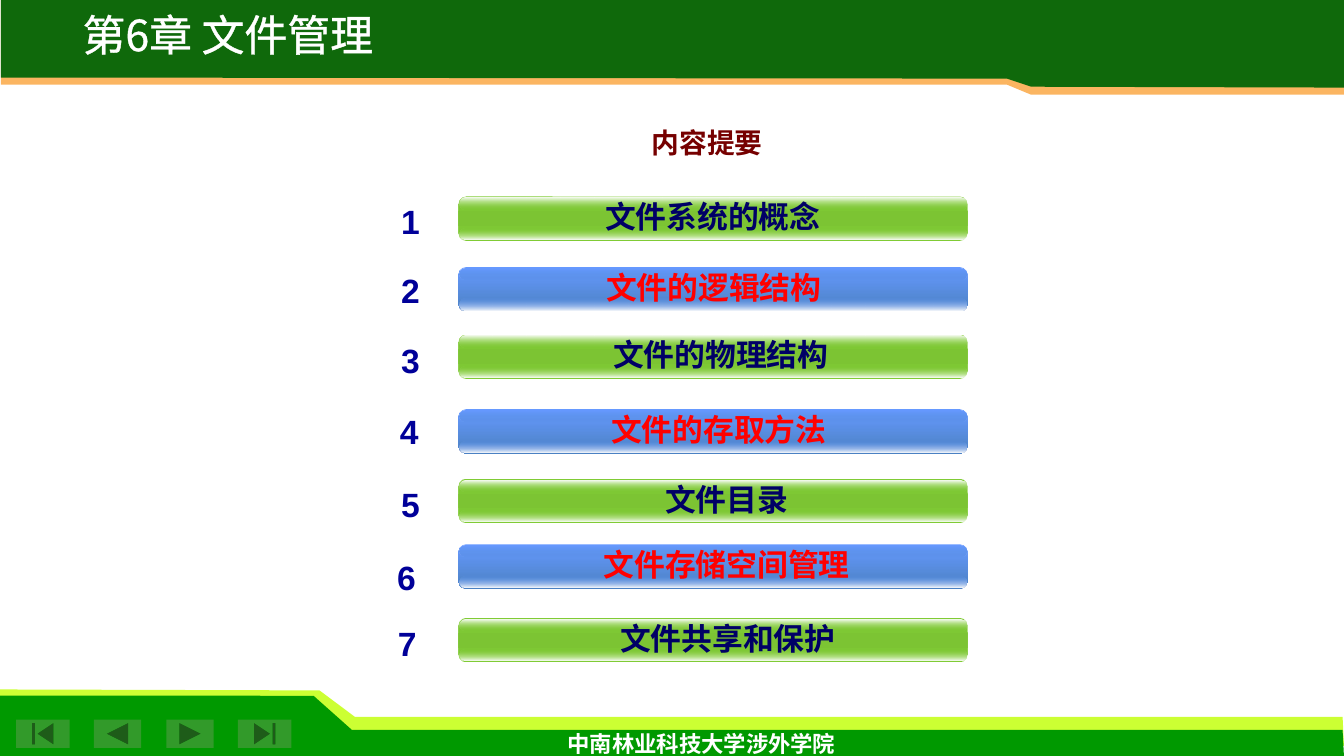
from dataclasses import dataclass

from pptx import Presentation
from pptx.dml.color import RGBColor
from pptx.enum.shapes import MSO_SHAPE
from pptx.enum.text import MSO_ANCHOR, MSO_AUTO_SIZE, PP_ALIGN
from pptx.oxml import parse_xml
from pptx.oxml.ns import nsdecls, qn
from pptx.util import Pt


@dataclass(frozen=True)
class Theme:
    white: str = "FFFFFF"
    header: str = "0F690B"
    header_edge: str = "FBB561"
    footer: str = "009900"
    footer_edge: str = "CCFF33"
    button: str = "329A2A"
    heading: str = "760000"
    number: str = "000099"
    navy: str = "000066"
    navy_edge: str = "002060"
    red: str = "FF0000"
    green: str = "80CB35"
    green_middle: str = "7CC433"
    blue: str = "6699FF"
    blue_deep: str = "4B81C2"
    blue_glow: str = "518CD3"
    cjk: str = "Noto Sans CJK SC"
    latin: str = "Arial"
    serif: str = "Times New Roman"
    title_size: float = 30.6
    heading_size: float = 19.8
    number_size: float = 24
    topic_size: float = 22
    footer_size: float = 16


THEME = Theme()
FOOTER_EDGE = [(0.7, 532.8), (960, 532.8), (959, 512), (253.4, 512), (228.2, 493.2), (0, 492.5)]
FOOTER = [(0, 542), (960, 541), (959, 521.3), (251.3, 521.3), (224, 497), (0, 496.8)]
HEADER_EDGE = [(960.5, 0), (0.7, 0), (0.7, 60.5), (719.3, 60.5), (736.6, 67.7), (960.5, 67.7)]
HEADER = [(960.5, 0), (0.7, 0), (0.7, 55.4), (719.3, 56.2), (736.6, 62), (960.5, 62.6)]
BUTTONS = [
    (MSO_SHAPE.ACTION_BUTTON_BACK_OR_PREVIOUS, 67, 33.8),
    (MSO_SHAPE.ACTION_BUTTON_FORWARD_OR_NEXT, 118.8, 33.8),
    (MSO_SHAPE.ACTION_BUTTON_BEGINNING, 11.5, 38.2),
    (MSO_SHAPE.ACTION_BUTTON_END, 170, 38.2),
]
BAR_LEFT, BAR_WIDTH, BAR_HEIGHT = 327.5, 363.6, 31.7
# (topic, bar top, topic left, number left, number top)
TOPICS = [
    ("文件系统的概念", 140.4, 355, 279.4, 139.7),
    ("文件的逻辑结构", 190.8, 355.7, 279.4, 189.4),
    ("文件的物理结构", 239, 360.7, 279.4, 239),
    ("文件的存取方法", 292.3, 359.3, 278.6, 290.2),
    ("文件目录", 342, 365, 279.4, 342),
    ("文件存储空间管理", 388.8, 365, 276.5, 394.6),
    ("文件共享和保护", 441.4, 365.8, 277.2, 441.4),
]


def write_text(frame, text, size, color, font, bold=False, spacing=None,
               hanging=None, outline=None, wrap=True, grow=False):
    frame.word_wrap = wrap
    frame.auto_size = MSO_AUTO_SIZE.SHAPE_TO_FIT_TEXT if grow else MSO_AUTO_SIZE.NONE
    frame.vertical_anchor = MSO_ANCHOR.TOP
    paragraph = frame.paragraphs[0]
    paragraph.alignment = PP_ALIGN.CENTER
    paragraph.line_spacing = spacing
    if hanging:
        properties = paragraph._p.get_or_add_pPr()
        properties.set("marL", str(Pt(hanging)))
        properties.set("indent", str(-Pt(hanging)))
    run = paragraph.add_run()
    run.text = text
    run.font.size = Pt(size)
    run.font.bold = bold
    run.font.name = font
    run.font.color.rgb = RGBColor.from_string(color)
    properties = run._r.get_or_add_rPr()
    properties.find(qn("a:latin")).addnext(
        parse_xml(f'<a:ea {nsdecls("a")} typeface="{THEME.cjk}"/>'))
    if outline:
        edge, width = outline
        properties.insert(0, parse_xml(
            f'<a:ln {nsdecls("a")} w="{Pt(width)}"><a:solidFill>'
            f'<a:srgbClr val="{edge}"/></a:solidFill></a:ln>'))


class SlideBuilder:
    def __init__(self, slide, theme):
        self.slide = slide
        self.theme = theme

    def finish(self, shape, color):
        shape.shadow.inherit = False
        shape.line.fill.background()
        shape.fill.solid()
        shape.fill.fore_color.rgb = RGBColor.from_string(color)

    def title(self, text, left, top, width, height, **style):
        title = self.slide.shapes.title
        title.left, title.top = Pt(left), Pt(top)
        title.width, title.height = Pt(width), Pt(height)
        self.slide.shapes.element.append(title.element)
        write_text(title.text_frame, text, **style)

    def label(self, text, left, top, width, height, **style):
        box = self.slide.shapes.add_textbox(Pt(left), Pt(top), Pt(width), Pt(height))
        write_text(box.text_frame, text, **style)

    def band(self, points, color):
        corners = [(Pt(x), Pt(y)) for x, y in points]
        outline = self.slide.shapes.build_freeform(*corners[0])
        outline.add_line_segments(corners[1:])
        self.finish(outline.convert_to_shape(), color)

    def button(self, kind, left, width):
        button = self.slide.shapes.add_shape(kind, Pt(left), Pt(514), Pt(width), Pt(20.2))
        self.finish(button, self.theme.button)

    def layer(self, group, left, top, width, height, rounding, stops):
        layer = group.shapes.add_shape(
            MSO_SHAPE.ROUNDED_RECTANGLE, Pt(left), Pt(top), Pt(width), Pt(height))
        layer.adjustments[0] = rounding
        layer.shadow.inherit = False
        layer.line.fill.background()
        layer.fill.background()
        colors = "".join(
            f'<a:gs pos="{position * 1000}"><a:srgbClr val="{color}">'
            f'<a:alpha val="{alpha * 1000}"/></a:srgbClr></a:gs>'
            for position, color, alpha in stops)
        properties = layer.element.spPr
        properties.replace(properties.find(qn("a:noFill")), parse_xml(
            f'<a:gradFill {nsdecls("a")} rotWithShape="1"><a:gsLst>{colors}</a:gsLst>'
            '<a:lin ang="5400000" scaled="1"/></a:gradFill>'))

    def bar(self, top, green):
        t = self.theme
        if green:
            base = [(0, t.green, 100), (50, t.green_middle, 100), (100, t.green, 100)]
            upper = [(0, t.white, 100), (100, t.green, 0)]
            lower = [(0, t.green, 0), (100, t.white, 100)]
        else:
            base = [(0, t.blue, 100), (100, t.blue_deep, 100)]
            upper = [(0, t.blue, 100), (100, t.blue_glow, 0)]
            lower = [(0, t.blue, 0), (100, t.white, 100)]
        group = self.slide.shapes.add_group_shape()
        self.layer(group, BAR_LEFT, top, BAR_WIDTH, BAR_HEIGHT, 0.175, base)
        for offset, stops in ((22.8, lower), (1, upper)):
            self.layer(group, BAR_LEFT + 0.7, top + offset, BAR_WIDTH - 1.4, 7.9, 0.5, stops)


def main():
    deck = Presentation()
    deck.slide_width, deck.slide_height = Pt(960), Pt(540)
    t = THEME
    page = SlideBuilder(deck.slides.add_slide(deck.slide_layouts[5]), t)

    page.band(FOOTER_EDGE, t.footer_edge)
    page.band(FOOTER, t.footer)
    for button in BUTTONS:
        page.button(*button)
    page.band(HEADER_EDGE, t.header_edge)
    page.band(HEADER, t.header)
    page.label("中南林业科技大学涉外学院", 298.8, 517.7, 404.6, 26.6, size=t.footer_size,
               color=t.white, font=t.serif, bold=True, grow=True)
    page.label("内容提要", 445.7, 90.7, 118.8, 26, size=t.heading_size, color=t.heading,
               font=t.cjk, bold=True, spacing=0.8, wrap=False)

    for number, (topic, top, topic_left, number_left, number_top) in enumerate(TOPICS, 1):
        green = number % 2 == 1
        page.bar(top, green)
        page.label(topic, topic_left, top - 2.5, 308.2, 33.8, size=t.topic_size,
                   color=t.navy if green else t.red, font=t.latin, bold=True, hanging=36,
                   outline=(t.navy_edge if green else t.red, 0.75), grow=True)
        page.label(str(number), number_left, number_top, 26, 36, size=t.number_size,
                   color=t.number, font=t.latin, bold=True, grow=True)

    page.title("第6章 文件管理", 26.6, 9.4, 272.2, 39.6, size=t.title_size, color=t.white,
               font=t.cjk, spacing=0.8, outline=(t.white, 1.5), wrap=False)
    deck.save("out.pptx")


if __name__ == "__main__":
    main()
